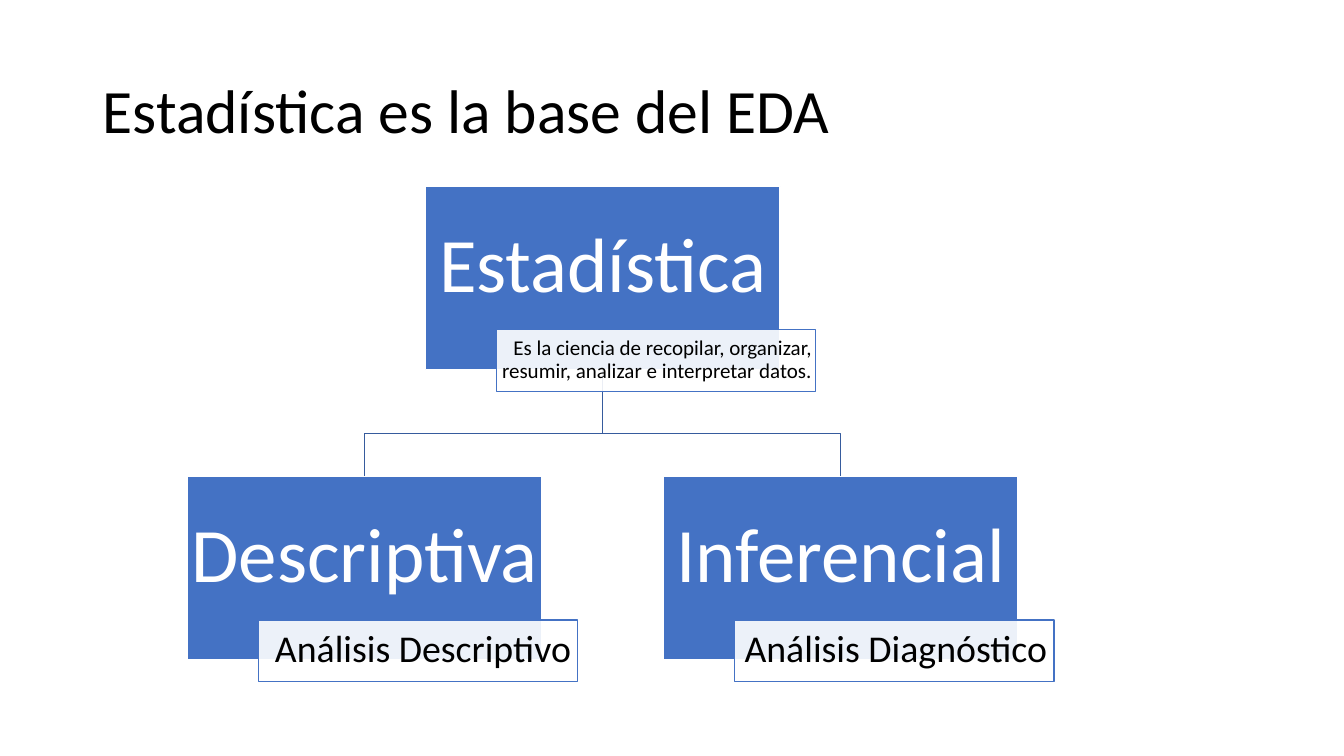
from lxml import etree
from pptx import Presentation
from pptx.dml.color import RGBColor
from pptx.enum.shapes import MSO_SHAPE
from pptx.enum.text import MSO_ANCHOR, PP_ALIGN
from pptx.oxml.ns import qn
from pptx.util import Cm, Pt

RECT = MSO_SHAPE.RECTANGLE
MIDDLE = MSO_ANCHOR.MIDDLE
LEFT, CENTER, RIGHT = PP_ALIGN.LEFT, PP_ALIGN.CENTER, PP_ALIGN.RIGHT
HUES = {"blue": "4472C4", "link": "365B9D", "white": "FFFFFF", "black": "000000"}
WIDE, HIGH = 8.94, 4.62
ROOT = (10.72, 4.7)
STEP, DROP, BEND = 6, 7.31, 6.22
NODES = [
    (0, 0, "Estadística",
     "Es la ciencia de recopilar, organizar, resumir, analizar e interpretar datos.", 15, 0.1),
    (-STEP, DROP, "Descriptiva", "Análisis Descriptivo", 27, 0.17),
    (STEP, DROP, "Inferencial", "Análisis Diagnóstico", 27, 0.17),
]


def hue(name):
    """Return the named colour."""
    return RGBColor.from_string(HUES[name])


def write(shape, text, size, color, align, pads):
    """Write one run into a shape with the given insets in cm."""
    frame = shape.text_frame
    frame.word_wrap = True
    frame.vertical_anchor = MIDDLE
    (frame.margin_left, frame.margin_top,
     frame.margin_right, frame.margin_bottom) = [Cm(pad) for pad in pads]
    para = frame.paragraphs[0]
    para.alignment = align
    para.line_spacing = 0.9
    run = para.add_run()
    run.text = text
    run.font.name = "Calibri"
    run.font.size = Pt(size)
    run.font.color.rgb = hue(color)


def panel(slide, box, fill, line):
    """Add a filled rectangle with a thin outline."""
    shape = slide.shapes.add_shape(RECT, *[Cm(side) for side in box])
    shape.shadow.inherit = False
    shape.fill.solid()
    shape.fill.fore_color.rgb = hue(fill)
    shape.line.color.rgb = hue(line)
    shape.line.width = Pt(1)
    return shape


def title(slide, box, text):
    """Add the slide title."""
    shape = slide.shapes.add_textbox(*[Cm(side) for side in box])
    write(shape, text, 44, "black", LEFT, (0.25, 0.13, 0.25, 0.13))


def link(slide, left, top, shift):
    """Draw a bent line from the root box down to a child."""
    mid = left + WIDE / 2
    start, bend, end = top + HIGH, top + BEND, top + DROP
    pen = slide.shapes.build_freeform(Cm(mid), Cm(start))
    turns = [(mid, bend), (mid + shift, bend), (mid + shift, end)]
    pen.add_line_segments([(Cm(x), Cm(y)) for x, y in turns], close=False)
    shape = pen.convert_to_shape()
    shape.shadow.inherit = False
    shape.fill.background()
    shape.line.color.rgb = hue("link")
    shape.line.width = Pt(1)


def node(slide, left, top, name, note, size, pad):
    """Add a named box with its overlapping note."""
    card = panel(slide, (left, top, WIDE, HIGH), "blue", "white")
    write(card, name, 55, "white", CENTER, (0.1, 0.1, 0.1, 0.66))
    tag = panel(slide, (left + 1.79, top + 3.61, 8.05, 1.55), "white", "blue")
    tone = tag.fill._xPr.find(qn("a:solidFill"))[0]
    etree.SubElement(tone, qn("a:alpha"), val="90000")
    write(tag, note, size, "black", RIGHT, (pad, 0.04, pad, 0.04))


def chart(slide, left, top):
    """Draw the tree from its root box position."""
    for shift in (STEP, -STEP):
        link(slide, left, top, shift)
    for right, down, *parts in NODES:
        node(slide, left + right, top + down, *parts)


def main():
    """Build and save the slide."""
    deck = Presentation()
    deck.slide_width, deck.slide_height = Cm(33.87), Cm(19.05)
    slide = deck.slides.add_slide(deck.slide_layouts[6])
    title(slide, (2.34, 1.02, 29.21, 3.68), "Estadística es la base del EDA")
    chart(slide, *ROOT)
    deck.save("out.pptx")


if __name__ == "__main__":
    main()
